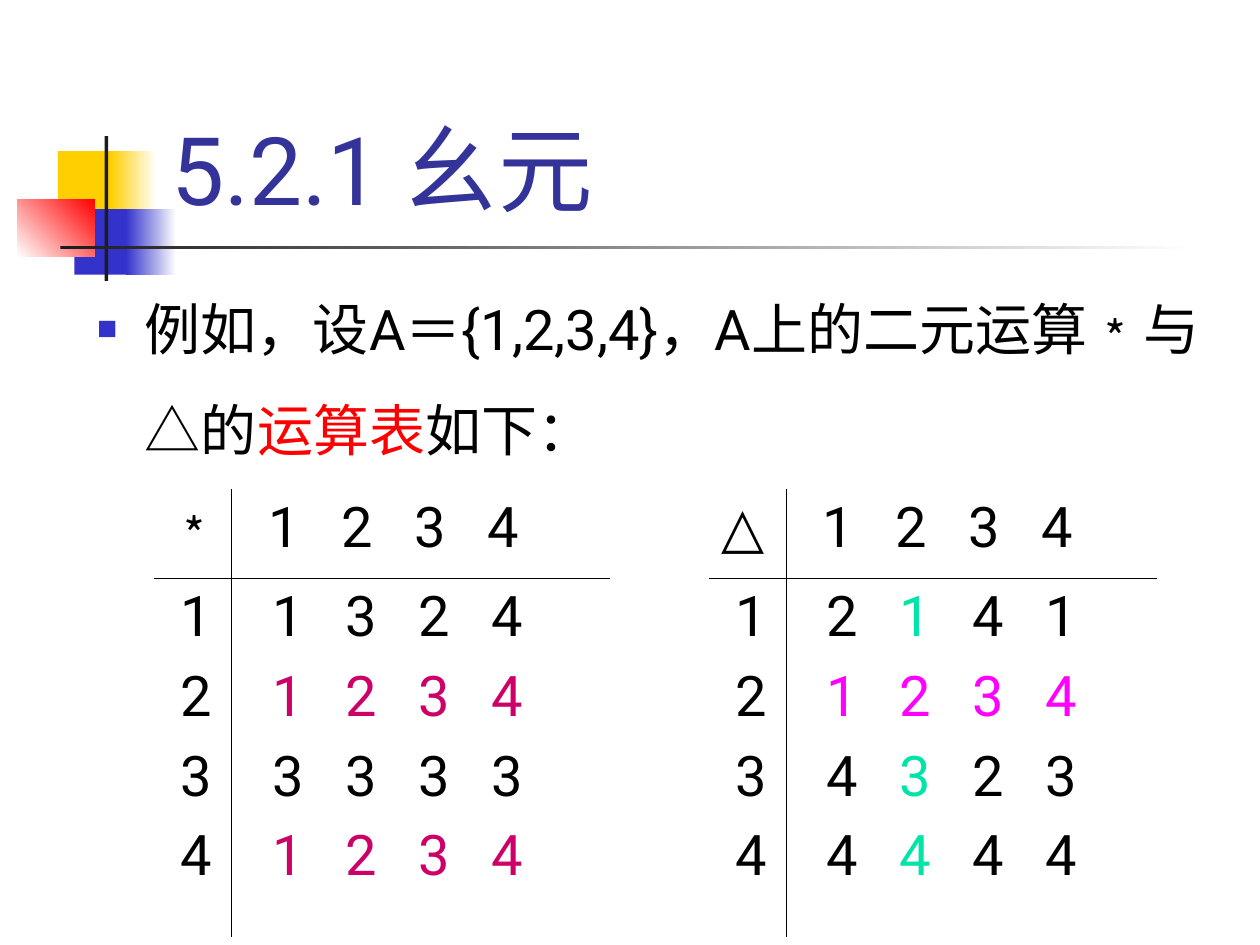
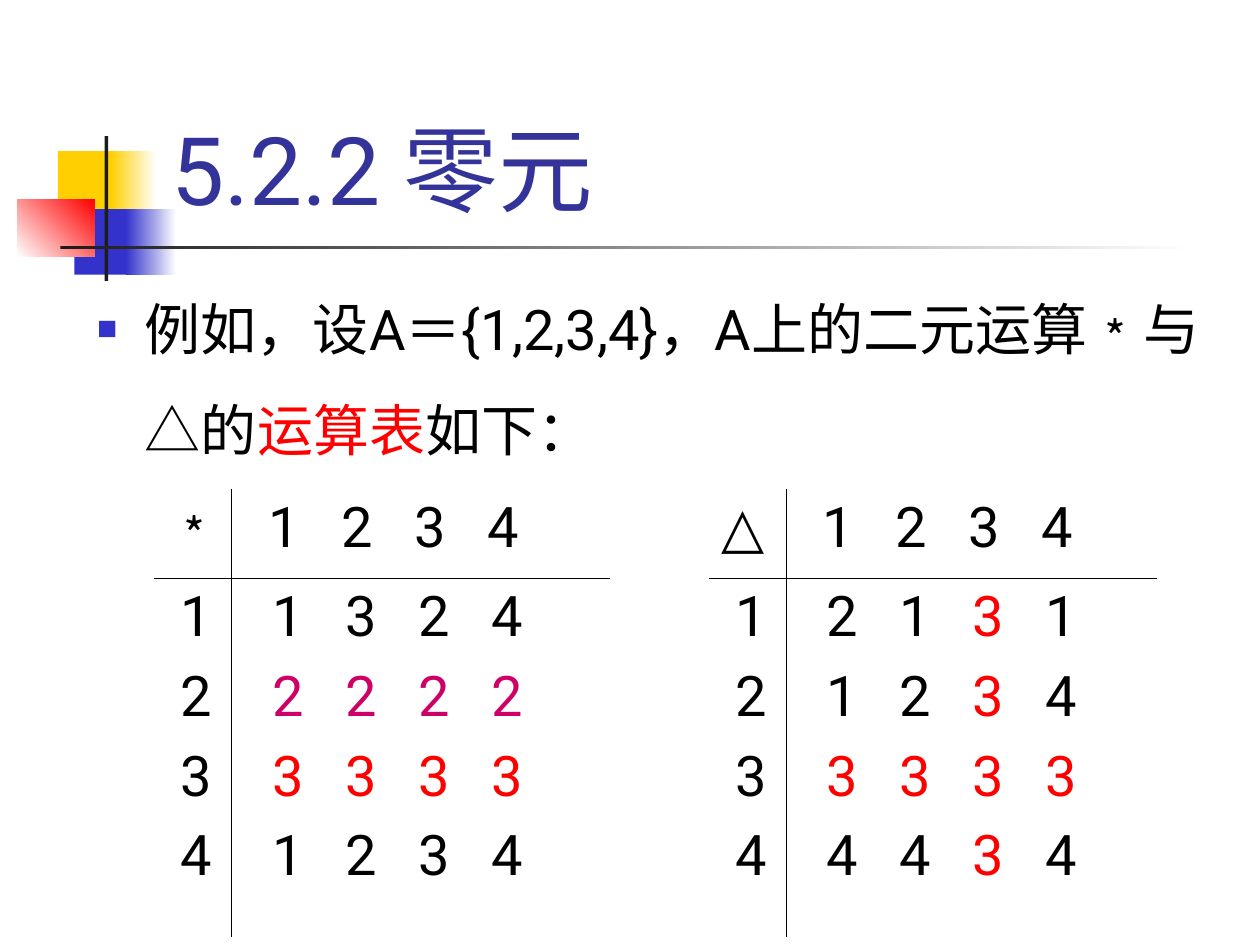
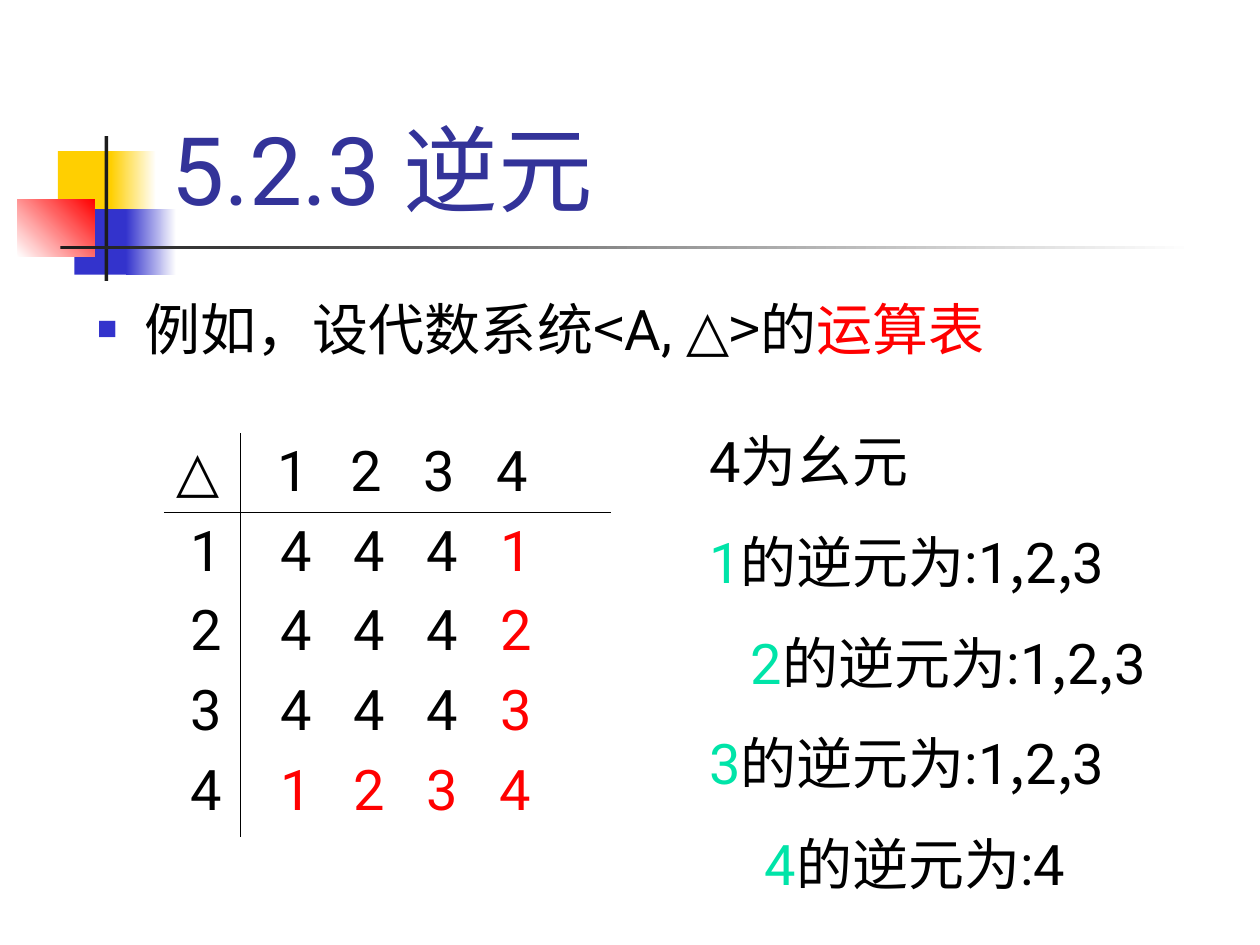
from dataclasses import dataclass
from typing import NamedTuple, Optional

from lxml import etree
from pptx import Presentation
from pptx import util as u
from pptx.dml.color import RGBColor
from pptx.enum import shapes, text
from pptx.oxml import ns

WIDTH, HEIGHT = u.Inches(10), u.Inches(7.5)
COLUMN, ROW = WIDTH / 10, HEIGHT / 7.5

BLACK = RGBColor(0x00, 0x00, 0x00)
WHITE = RGBColor(0xFF, 0xFF, 0xFF)
CHARCOAL = RGBColor(0x1C, 0x1C, 0x1C)
YELLOW = RGBColor(0xFF, 0xCF, 0x01)
BLUE = RGBColor(0x33, 0x33, 0xCC)
NAVY = RGBColor(0x33, 0x33, 0x99)
RED = RGBColor(0xFF, 0x00, 0x00)
CRIMSON = RGBColor(0xCC, 0x00, 0x66)
MAGENTA = RGBColor(0xFF, 0x00, 0xFF)
GREEN = RGBColor(0x00, 0xE4, 0xA8)
INKS = {"k": BLACK, "r": RED, "c": CRIMSON, "m": MAGENTA, "g": GREEN}

LATIN, CJK = "Roboto", "Noto Sans CJK SC"
TITLE_SIZE, TEXT_SIZE = u.Pt(54), u.Pt(32)
PLAIN_TABLE = "{2D5ABB26-0587-4C30-8999-92F81FD0307C}"
LABEL_INDENT, DIGIT_INDENT, HEADER_INDENT = 0.11, 0.22, 0.19
DIGIT_TRACKING = 790  # hundredths of a point


class Box(NamedTuple):
    """A rectangle in grid columns and rows."""
    left: float
    top: float
    width: float
    height: float

    def lengths(self) -> tuple:
        """Return the rectangle as slide lengths."""
        return (u.Emu(round(self.left * COLUMN)), u.Emu(round(self.top * ROW)),
                u.Emu(round(self.width * COLUMN)), u.Emu(round(self.height * ROW)))


class Piece(NamedTuple):
    """A stretch of text in one colour, with its own font if needed."""
    text: str
    colour: RGBColor = BLACK
    font: Optional[str] = None


class Block(NamedTuple):
    """A decorative rectangle; a second colour makes a gradient."""
    box: Box
    colour: RGBColor
    end: Optional[RGBColor] = None
    angle: int = 0


@dataclass
class Operation:
    """An operation table: each row holds its digits and their ink keys."""
    symbol: str
    left: float
    top: float
    widths: tuple
    heights: tuple
    rows: list


@dataclass
class Lesson:
    """The content of one slide."""
    title: str
    example: list
    operations: list


TITLE_BOX = Box(1.26, 0.23, 8.52, 1.6)
BODY_BOX = Box(0.67, 2.02, 9.33, 5.48)
ANSWER_BOX = Box(5.53, 3.07, 4.27, 4.1)

BLOCKS = [
    Block(Box(0.46, 1.2, 0.48, 0.52), YELLOW),
    Block(Box(0.88, 1.2, 0.36, 0.52), YELLOW, WHITE),
    Block(Box(0.59, 1.66, 0.46, 0.52), BLUE),
    Block(Box(1, 1.66, 0.4, 0.52), BLUE, WHITE),
    Block(Box(0.14, 1.58, 0.61, 0.46), WHITE, RED, 45),
    Block(Box(0.83, 1.08, 0.03, 1.15), CHARCOAL),
    Block(Box(0.48, 1.95, 9, 0.03), CHARCOAL, WHITE),
]

TWO_OPERATIONS = [Piece("例如，设A＝{1,2,3,4}，A上的二元运算﹡与△的"),
                  Piece("运算表", RED), Piece("如下：")]
ONE_OPERATION = [Piece("例如，设代数系统"), Piece("<", font=CJK), Piece("A, △"),
                 Piece(">", font=CJK), Piece("的"), Piece("运算表", RED)]


def star(rows: list) -> Operation:
    """Describe the left table of a pair."""
    return Operation("﹡", 1.22, 3.88, (0.62, 3), (0.71, 2.85), rows)


def triangle(rows: list, left: float = 5.63, top: float = 3.88,
             heights: tuple = (0.71, 2.85)) -> Operation:
    """Describe a table of the triangle operation."""
    return Operation("△", left, top, (0.61, 2.94), heights, rows)


LESSONS = [
    Lesson("5.2.1 幺元", TWO_OPERATIONS, [
        star([("1324", "kkkk"), ("1234", "cccc"), ("3333", "kkkk"), ("1234", "cccc")]),
        triangle([("2141", "kgkk"), ("1234", "mmmm"), ("4323", "kgkk"), ("4444", "kgkk")]),
    ]),
    Lesson("5.2.2 零元", TWO_OPERATIONS, [
        star([("1324", "kkkk"), ("2222", "cccc"), ("3333", "rrrr"), ("1234", "kkkk")]),
        triangle([("2131", "kkrk"), ("1234", "kkrk"), ("3333", "rrrr"), ("4434", "kkrk")]),
    ]),
    Lesson("5.2.3 逆元", ONE_OPERATION, [
        triangle([("4441", "kkkr"), ("4442", "kkkr"), ("4443", "kkkr"), ("1234", "rrrr")],
                 1.3, 3.44, (0.63, 2.57)),
    ]),
]
# Element, its inverses, and the indent of its line
INVERSES = [("1", "123", 0), ("2", "123", 0.33), ("3", "123", 0), ("4", "4", 0.44)]


def add_child(parent, tag: str, **attributes):
    """Append a DrawingML element and return it."""
    child = etree.SubElement(parent, ns.qn(tag))
    for name, value in attributes.items():
        child.set(name, str(value))
    return child


def write(paragraph, pieces: list, size: int = TEXT_SIZE) -> None:
    """Fill a paragraph with coloured pieces in the shared font."""
    paragraph.font.name = LATIN
    paragraph.font.size = size
    for piece in pieces:
        run = paragraph.add_run()
        run.text = piece.text
        run.font.color.rgb = piece.colour
        if piece.font:
            run.font.name = piece.font


def indent(paragraph, first: float, hanging: float = 0):
    """Set first-line and left indents in columns; return the properties."""
    properties = paragraph._p.get_or_add_pPr()
    properties.set("marL", str(round(hanging * COLUMN)))
    properties.set("indent", str(round(first * COLUMN)))
    return properties


def paragraphs_of(frame, count: int) -> list:
    """Return the given number of paragraphs in an empty text frame."""
    return [frame.paragraphs[0]] + [frame.add_paragraph() for _ in range(count - 1)]


def decorate(slide, master) -> None:
    """Draw the corner blocks and rules and hand them to the master."""
    for number, block in enumerate(BLOCKS):
        shape = slide.shapes.add_shape(shapes.MSO_SHAPE.RECTANGLE, *block.box.lengths())
        shape.shadow.inherit = False
        shape.line.fill.background()
        if block.end is None:
            shape.fill.solid()
            shape.fill.fore_color.rgb = block.colour
        else:
            shape.fill.gradient()
            shape.fill.gradient_angle = block.angle
            for stop, colour in zip(shape.fill.gradient_stops, (block.colour, block.end)):
                stop.color.rgb = colour
        shape.element.nvSpPr.cNvPr.id = 100 + number
        master.shapes.element.append(shape.element)


def place(shape, box: Box):
    """Move a placeholder and return its text frame."""
    shape.left, shape.top, shape.width, shape.height = box.lengths()
    frame = shape.text_frame
    frame.word_wrap = True
    frame.auto_size = text.MSO_AUTO_SIZE.NONE
    return frame


def add_title(slide, title: str) -> None:
    """Write the slide title."""
    frame = place(slide.shapes.title, TITLE_BOX)
    frame.vertical_anchor = text.MSO_ANCHOR.BOTTOM
    paragraph = frame.paragraphs[0]
    paragraph.alignment = text.PP_ALIGN.LEFT
    write(paragraph, [Piece(title, NAVY)], TITLE_SIZE)


def add_example(slide, pieces: list) -> None:
    """Write the bulleted example in the body placeholder."""
    paragraph = place(slide.placeholders[1], BODY_BOX).paragraphs[0]
    properties = indent(paragraph, -0.38, 0.38)
    colour = add_child(properties, "a:buClr")
    add_child(colour, "a:srgbClr", val=BLUE)
    add_child(properties, "a:buSzPct", val=60000)
    add_child(properties, "a:buChar", char="■")
    paragraph.line_spacing = 1.5
    paragraph.space_before = u.Pt(8)
    write(paragraph, pieces)


def write_digits(paragraph, digits: str, inks: str, first: float) -> None:
    """Write digits in equal steps, set by wide letter spacing."""
    properties = indent(paragraph, first)
    paragraph.space_before = u.Pt(8)
    write(paragraph, [Piece((" " if position else "") + digit, INKS[ink])
                      for position, (digit, ink) in enumerate(zip(digits, inks))])
    if len(digits) > 1:
        properties.find(ns.qn("a:defRPr")).set("spc", str(DIGIT_TRACKING))


def rule_cell(cell, sides: tuple) -> None:
    """Draw thin black borders on the given sides and clear the fill."""
    properties = cell._tc.get_or_add_tcPr()
    for side in sides:
        line = add_child(properties, f"a:ln{side}", w=u.Pt(0.45))
        add_child(add_child(line, "a:solidFill"), "a:srgbClr", val=BLACK)
    cell.fill.background()


def add_operation(slide, operation: Operation) -> None:
    """Add an operation table with a cross of inner rules."""
    box = Box(operation.left, operation.top, sum(operation.widths), sum(operation.heights))
    table = slide.shapes.add_table(2, 2, *box.lengths()).table
    table.first_row = table.horz_banding = False
    table._tbl.tblPr.find(ns.qn("a:tableStyleId")).text = PLAIN_TABLE
    for column, width in zip(table.columns, operation.widths):
        column.width = u.Emu(round(width * COLUMN))
    for row, height in zip(table.rows, operation.heights):
        row.height = u.Emu(round(height * ROW))
    for row in range(2):
        for column in range(2):
            rule_cell(table.cell(row, column), ("RL"[column], "BT"[row]))

    count = len(operation.rows)
    labels = "".join(str(number + 1) for number in range(count))
    write_digits(table.cell(0, 0).text_frame.paragraphs[0], operation.symbol, "k", 0)
    write_digits(table.cell(0, 1).text_frame.paragraphs[0], labels, "k" * count, HEADER_INDENT)
    for paragraph, label in zip(paragraphs_of(table.cell(1, 0).text_frame, count), labels):
        write_digits(paragraph, label, "k", LABEL_INDENT)
    for paragraph, (digits, inks) in zip(
            paragraphs_of(table.cell(1, 1).text_frame, count), operation.rows):
        write_digits(paragraph, digits, inks, DIGIT_INDENT)


def add_answers(slide) -> None:
    """List the identity and the inverse of every element."""
    frame = slide.shapes.add_textbox(*ANSWER_BOX.lengths()).text_frame
    frame.word_wrap = True
    first, *others = paragraphs_of(frame, 1 + len(INVERSES))
    first.line_spacing = 1.5
    write(first, [Piece("4为幺元")])
    for paragraph, (element, inverses, offset) in zip(others, INVERSES):
        indent(paragraph, offset)
        paragraph.line_spacing = 1.5
        pieces = [Piece(element, GREEN), Piece("的逆元为:" + inverses[0])]
        for inverse in inverses[1:]:
            pieces += [Piece(",", font=CJK), Piece(inverse)]
        write(paragraph, pieces)


def main() -> None:
    """Build and save the presentation."""
    presentation = Presentation()
    presentation.slide_width, presentation.slide_height = WIDTH, HEIGHT
    for lesson in LESSONS:
        slide = presentation.slides.add_slide(presentation.slide_layouts[1])
        add_title(slide, lesson.title)
        add_example(slide, lesson.example)
        for operation in lesson.operations:
            add_operation(slide, operation)
    add_answers(slide)
    decorate(slide, presentation.slide_master)
    presentation.save("out.pptx")


main()
